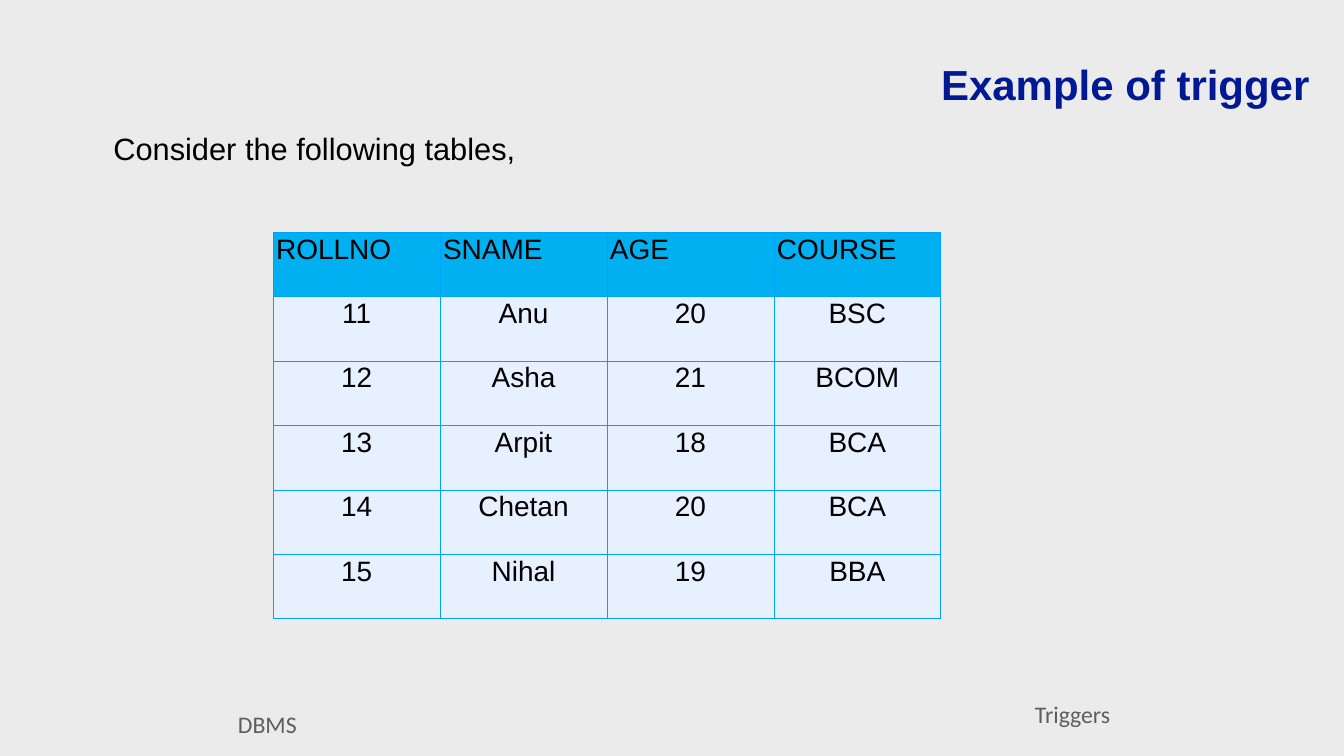
import pptx
import pptx.dml.color
import pptx.enum.shapes
import pptx.enum.text
import pptx.util
from lxml import etree
from pptx.oxml.ns import qn

Inches = pptx.util.Inches
ALIGN = pptx.enum.text.PP_ALIGN
ANCHOR = pptx.enum.text.MSO_ANCHOR
HUES = {
    "back": "EBEBEB", "foot": "5E5E5E", "title": "011993", "text": "000000",
    "head": "00B0F0", "cell": "E7F0FF", "line": "00A2FF",
}


def color(name):
    return pptx.dml.color.RGBColor.from_string(HUES[name])


def write(frame, text, size, hue, font="Arial", align=ALIGN.LEFT, bold=False):
    para = frame.paragraphs[0]
    para.alignment = align
    run = para.add_run()
    run.text = text
    run.font.name = font
    run.font.size = pptx.util.Pt(size)
    run.font.bold = bold
    run.font.color.rgb = color(hue)


deck = pptx.Presentation()
deck.slide_width, deck.slide_height = Inches(26.67), Inches(15)
slide = deck.slides.add_slide(deck.slide_layouts[5])
slide.background.fill.solid()
slide.background.fill.fore_color.rgb = color("back")

# Footer labels
for text, left, top in [("DBMS", 0.42, 13.97), ("Triggers", 16.4, 13.77)]:
    foot = slide.shapes.add_shape(
        pptx.enum.shapes.MSO_SHAPE.RECTANGLE,
        Inches(left), Inches(top), Inches(9.77), Inches(0.78))
    foot.shadow.inherit = False
    foot.fill.solid()
    foot.fill.fore_color.rgb = color("back")
    foot.line.fill.background()
    frame = foot.text_frame
    frame.margin_left = frame.margin_right = 0
    frame.margin_top = frame.margin_bottom = 0
    frame.vertical_anchor = ANCHOR.MIDDLE
    write(frame, text, 34, "foot", "Calibri", ALIGN.CENTER)

# Student table
rows = [
    ["ROLLNO", "SNAME", "AGE", "COURSE"],
    ["11", "Anu", "20", "BSC"],
    ["12", "Asha", "21", "BCOM"],
    ["13", "Arpit", "18", "BCA"],
    ["14", "Chetan", "20", "BCA"],
    ["15", "Nihal", "19", "BBA"],
]
table = slide.shapes.add_table(
    len(rows), len(rows[0]),
    Inches(5.42), Inches(4.61), Inches(13.25), Inches(7.67)).table
table.first_row = table.horz_banding = False

for r, row in enumerate(rows):
    for c, text in enumerate(row):
        cell = table.cell(r, c)
        cell.margin_left = cell.margin_right = Inches(0.06)
        cell.margin_top = cell.margin_bottom = Inches(0.03)
        # Cell borders
        props = cell._tc.get_or_add_tcPr()
        for side in ("lnL", "lnR", "lnT", "lnB"):
            edge = etree.SubElement(props, qn("a:" + side), w="12700")
            fill = etree.SubElement(edge, qn("a:solidFill"))
            etree.SubElement(fill, qn("a:srgbClr"), val=HUES["line"])
        cell.fill.solid()
        cell.fill.fore_color.rgb = color("cell" if r else "head")
        write(cell.text_frame, text, 40, "text",
              align=ALIGN.CENTER if r else ALIGN.LEFT)

# Lead-in line
lead = slide.shapes.add_textbox(
    Inches(2.15), Inches(2.52), Inches(22.76), Inches(0.84))
lead.text_frame.word_wrap = True
write(lead.text_frame, "Consider the following tables,", 44, "text")

# Title
title = slide.shapes.title
title.left, title.top = Inches(1.55), Inches(1.11)
title.width, title.height = Inches(24.5), Inches(1.12)
frame = title.text_frame
frame.margin_left = frame.margin_right = Inches(0.06)
frame.margin_top = frame.margin_bottom = Inches(0.06)
frame.vertical_anchor = ANCHOR.MIDDLE
frame.auto_size = pptx.enum.text.MSO_AUTO_SIZE.NONE
write(frame, "Example of trigger", 60, "title", align=ALIGN.RIGHT, bold=True)

deck.save("out.pptx")
